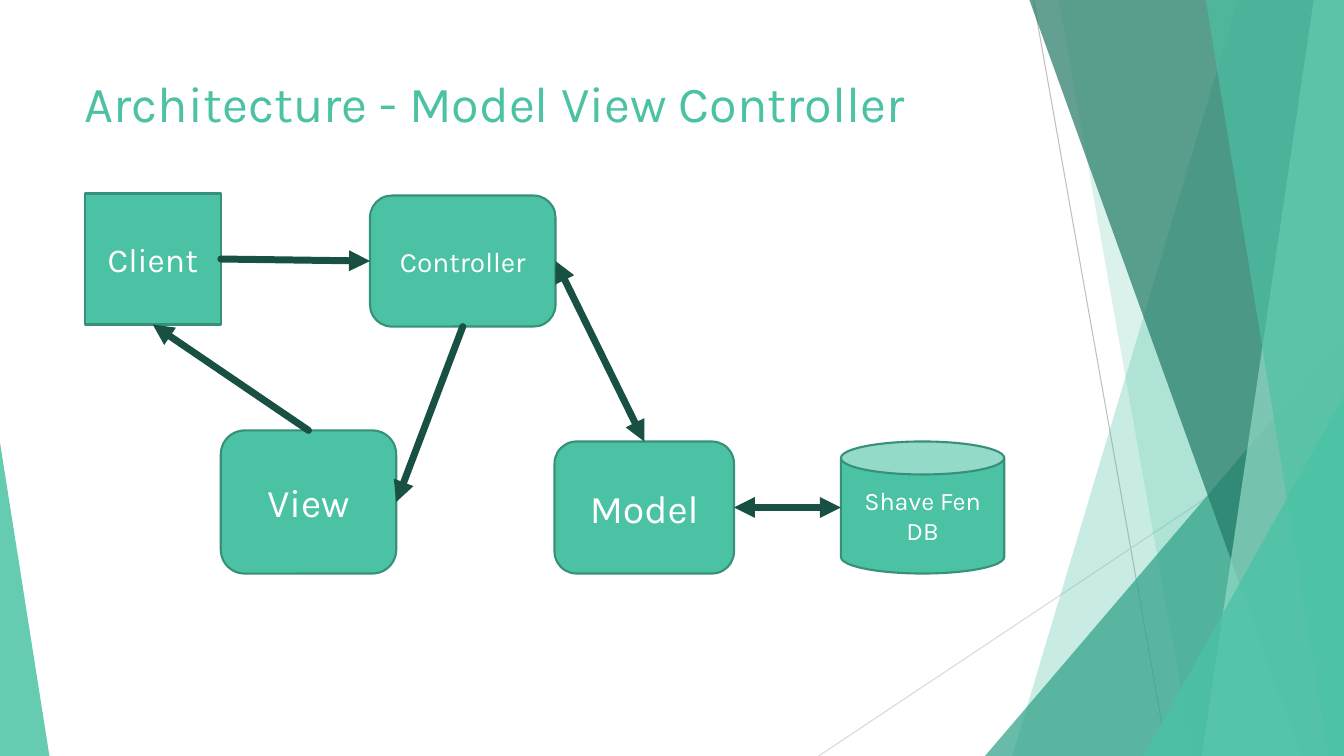
from pptx import Presentation
from pptx.dml.color import RGBColor
from pptx.enum.shapes import MSO_CONNECTOR as Connector, MSO_SHAPE as Preset
from pptx.enum.text import MSO_ANCHOR as Anchor, PP_ALIGN as Align
from pptx.oxml.ns import qn
from pptx.util import Inches, Pt
from lxml.etree import SubElement

WIDTH, HEIGHT = 13.33, 7.5
WHITE = RGBColor(0xFF, 0xFF, 0xFF)
MINT = RGBColor(0x4B, 0xC2, 0xA4)
PALE_MINT = RGBColor(0x93, 0xDA, 0xC8)
GREEN = RGBColor(0x2F, 0xA1, 0x87)
DEEP_GREEN = RGBColor(0x23, 0x79, 0x65)
OUTLINE = RGBColor(0x37, 0x90, 0x79)
ARROW = RGBColor(0x18, 0x50, 0x44)
GRAY = RGBColor(0xBF, 0xBF, 0xBF)
LIGHT_GRAY = RGBColor(0xD9, 0xD9, 0xD9)

# Connection sites of rectangles
TOP, LEFT, BOTTOM, RIGHT = range(4)


class DiagramSlide:
    def __init__(self, presentation, font="Karla"):
        self.slide = presentation.slides.add_slide(presentation.slide_layouts[5])
        self.shapes = self.slide.shapes
        self.font = font

    def add_text(self, frame, text, size, color, align):
        frame.word_wrap = True
        paragraph = frame.paragraphs[0]
        paragraph.alignment = align
        run = paragraph.add_run()
        run.text = text
        run.font.name = self.font
        run.font.size = Pt(size)
        run.font.color.rgb = color

    def title(self, text, left, top, width, height):
        shape = self.shapes.title
        shape.left, shape.top = Inches(left), Inches(top)
        shape.width, shape.height = Inches(width), Inches(height)
        shape.text_frame.vertical_anchor = Anchor.TOP
        self.add_text(shape.text_frame, text, 36, MINT, Align.LEFT)
        # Bring the title in front of the decoration
        shape.element.getparent().append(shape.element)

    def tint(self, shape, color, opacity):
        shape.shadow.inherit = False
        shape.line.fill.background()
        shape.fill.solid()
        shape.fill.fore_color.rgb = color
        color_element = shape.element.spPr.find(qn("a:solidFill"))[0]
        SubElement(color_element, qn("a:alpha"), val=str(opacity * 1000))

    def band(self, top_x, bottom_x, color, opacity):
        """A facet running from the given edge to the right side."""
        corners = [(WIDTH, 0), (WIDTH, HEIGHT), (bottom_x, HEIGHT)]
        builder = self.shapes.build_freeform(Inches(top_x), 0)
        builder.add_line_segments([(Inches(x), Inches(y)) for x, y in corners])
        self.tint(builder.convert_to_shape(), color, opacity)

    def corner(self, left, top, width, apex, color, opacity):
        """A triangle standing on the bottom edge."""
        shape = self.shapes.add_shape(
            Preset.ISOSCELES_TRIANGLE, Inches(left), Inches(top),
            Inches(width), Inches(HEIGHT - top))
        shape.adjustments[0] = apex
        self.tint(shape, color, opacity)

    def node(self, text, preset, left, top, width, height, size):
        shape = self.shapes.add_shape(
            preset, Inches(left), Inches(top), Inches(width), Inches(height))
        shape.shadow.inherit = False
        shape.fill.solid()
        shape.fill.fore_color.rgb = MINT
        shape.line.color.rgb = OUTLINE
        shape.line.width = Pt(1.5)
        shape.text_frame.vertical_anchor = Anchor.MIDDLE
        self.add_text(shape.text_frame, text, size, WHITE, Align.CENTER)
        return shape

    def line(self, start, end, color, width):
        connector = self.shapes.add_connector(
            Connector.STRAIGHT, *map(Inches, start + end))
        connector.line.color.rgb = color
        connector.line.width = Pt(width)
        SubElement(connector.element.spPr, qn("a:effectLst"))
        return connector

    def arrow(self, source, source_site, target, target_site, both=False):
        connector = self.line((0, 0), (1, 1), ARROW, 5)
        connector.begin_connect(source, source_site)
        if target_site is None:  # middle of the left side, not glued
            connector.end_x = target.left
            connector.end_y = target.top + target.height // 2
        else:
            connector.end_connect(target, target_site)
        outline = connector.element.spPr.find(qn("a:ln"))
        outline.set("cap", "rnd")
        SubElement(outline, qn("a:round"))
        for end in ("headEnd", "tailEnd") if both else ("tailEnd",):
            SubElement(outline, qn(f"a:{end}"), type="triangle")


def main():
    presentation = Presentation()
    presentation.slide_width = Inches(WIDTH)
    presentation.slide_height = Inches(HEIGHT)
    page = DiagramSlide(presentation)

    # Faceted decoration, back to front
    page.line((10.25, 0), (11.58, HEIGHT), GRAY, 0.75)
    page.line((WIDTH, 4.03), (8.12, HEIGHT), LIGHT_GRAY, 0.75)
    page.band(12.28, 10.04, MINT, 30)
    page.band(10.5, 11.83, MINT, 20)
    page.corner(9.77, 3.33, 3.56, 1, GREEN, 72)
    page.band(10.21, 12.91, DEEP_GREEN, 70)
    page.band(13.03, 11.92, PALE_MINT, 70)
    page.band(11.96, 13.18, MINT, 65)
    page.corner(11.34, 3.93, 1.99, 1, MINT, 80)
    page.corner(0, 4.39, 0.49, 0, MINT, 85)

    page.title("Architecture - Model View Controller", 0.74, 0.67, 9.4, 1.44)

    # Components
    rounded = Preset.ROUNDED_RECTANGLE
    client = page.node("Client", Preset.RECTANGLE, 0.84, 1.92, 1.35, 1.3, 24)
    controller = page.node("Controller", rounded, 3.67, 1.94, 1.84, 1.3, 20)
    view = page.node("View", rounded, 2.19, 4.27, 1.74, 1.42, 28)
    model = page.node("Model", rounded, 5.5, 4.38, 1.78, 1.31, 28)
    database = page.node("Shave Fen DB", Preset.CAN, 8.34, 4.38, 1.62, 1.31, 18)

    # Request and data flow
    page.arrow(client, RIGHT, controller, LEFT)
    page.arrow(controller, BOTTOM, view, RIGHT)
    page.arrow(view, TOP, client, BOTTOM)
    page.arrow(controller, RIGHT, model, TOP, both=True)
    page.arrow(model, RIGHT, database, None, both=True)

    presentation.save("out.pptx")


if __name__ == "__main__":
    main()
